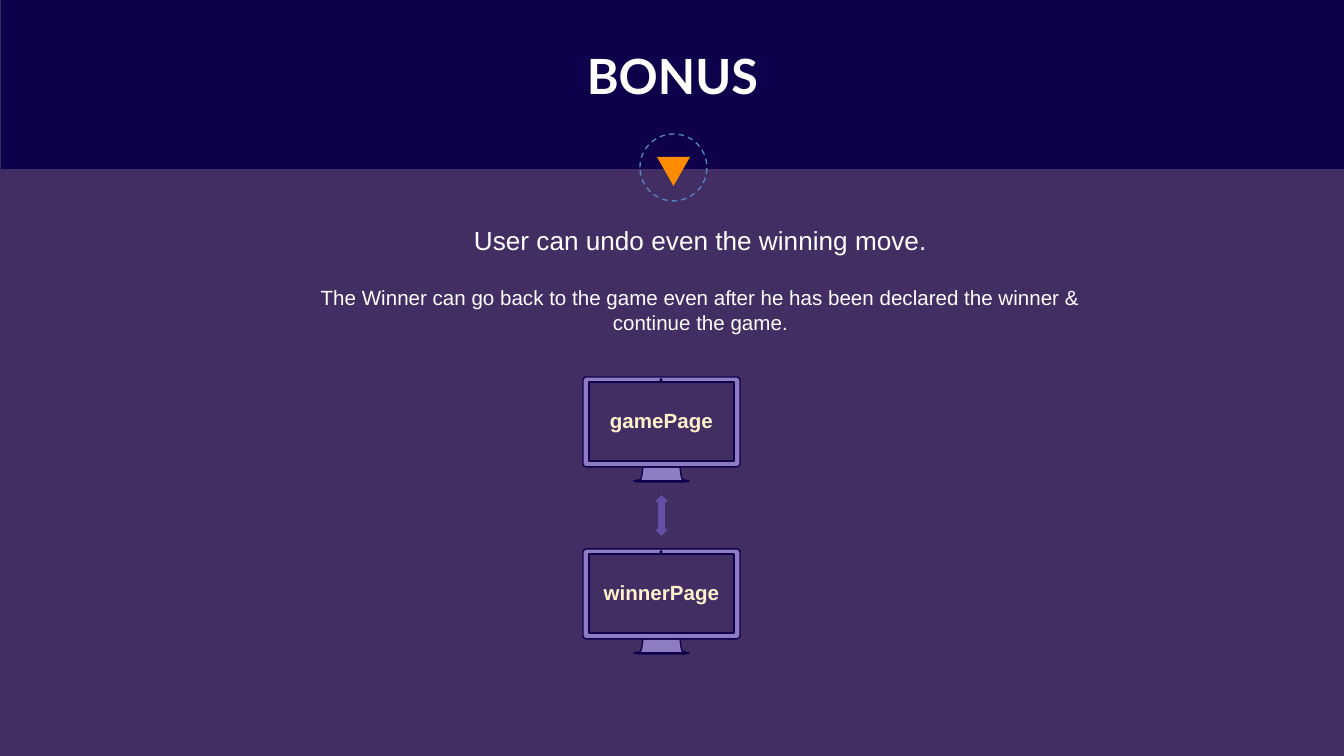
from pptx import Presentation
from pptx.dml.color import RGBColor
from pptx.enum.dml import MSO_LINE
from pptx.enum.shapes import MSO_SHAPE as Preset
from pptx.enum.text import MSO_ANCHOR as Anchor, PP_ALIGN as Align
from pptx.util import Emu, Pt

SCALE = 914400 / 134.4
WIDTH, HEIGHT = 1344, 756

PURPLE = RGBColor(0x43, 0x2E, 0x64)
NAVY = RGBColor(0x0E, 0x00, 0x4A)
BLUE = RGBColor(0x53, 0x82, 0xBC)
ORANGE = RGBColor(0xFB, 0x8C, 0x00)
LILAC = RGBColor(0x8E, 0x7C, 0xC3)
VIOLET = RGBColor(0x67, 0x4E, 0xA7)
CREAM = RGBColor(0xFF, 0xF2, 0xCC)
WHITE = RGBColor(0xFF, 0xFF, 0xFF)

# Monitor outlines in pixels, relative to the top left corner of its frame.
FRAME = [(3, 0), (154, 0), (156, 1), (157, 3), (157, 87), (156, 89),
         (154, 90), (3, 90), (1, 89), (0, 87), (0, 3), (1, 1)]
SCREEN = [(6, 5), (6, 84), (151, 84), (151, 5)]
CAMERA = [(78, 2), (77, 3), (78, 4), (79, 3)]
STAND = [(60, 90), (59, 98), (58, 102), (56, 103), (51, 104),
         (106, 104), (101, 103), (99, 102), (98, 98), (97, 90)]
BASE = [(51, 104), (55, 105), (102, 105), (106, 104)]
MONITOR = [FRAME, SCREEN, CAMERA, STAND, BASE]


def px(length):
    """Turn pixels into EMU."""
    return Emu(round(length * SCALE))


class SlideBuilder:
    """Holds the slide and the shared text style."""

    font = "Arial"
    inset = px(13)

    def __init__(self, slide, background):
        """Keep the slide and colour its background."""
        self.slide = slide
        slide.background.fill.solid()
        slide.background.fill.fore_color.rgb = background

    def paint(self, shape, fill=None, line=None, dash=None):
        """Set the fill and outline of a shape and drop its shadow."""
        shape.shadow.inherit = False
        if fill is None:
            shape.fill.background()
        else:
            shape.fill.solid()
            shape.fill.fore_color.rgb = fill
        if line is None:
            shape.line.fill.background()
        else:
            shape.line.color.rgb = line
            shape.line.width = Pt(0.75)
            shape.line.dash_style = dash
        return shape

    def preset(self, kind, box, **paint):
        """Add a preset shape."""
        shape = self.slide.shapes.add_shape(kind, *map(px, box))
        return self.paint(shape, **paint)

    def outline(self, contours, left, top, **paint):
        """Add one freeform made of several closed contours."""
        shapes = self.slide.shapes
        builder = shapes.build_freeform(*contours[0][0], scale=SCALE)
        builder.add_line_segments(contours[0][1:], close=True)
        for first, *others in contours[1:]:
            builder.move_to(*first)
            builder.add_line_segments(others, close=True)
        return self.paint(builder.convert_to_shape(px(left), px(top)), **paint)

    def text(self, box, lines, color, bold=False, font=None,
             anchor=Anchor.MIDDLE, gap=0):
        """Add centred text from (wording, size) lines, with a gap between."""
        frame = self.slide.shapes.add_textbox(*map(px, box)).text_frame
        frame.word_wrap = True
        frame.vertical_anchor = anchor
        frame.margin_left = frame.margin_right = self.inset
        frame.margin_top = frame.margin_bottom = self.inset
        frame.text = "\n".join(wording for wording, _ in lines)
        for index, paragraph in enumerate(frame.paragraphs):
            paragraph.alignment = Align.CENTER
            paragraph.space_before = Pt(gap if index else 0)
            style = paragraph.runs[0].font
            style.name = font or self.font
            style.size = Pt(lines[index][1])
            style.bold = bold
            style.color.rgb = color

    def monitor(self, left, top, label):
        """Add a labelled computer monitor."""
        self.outline(MONITOR, left, top, fill=LILAC, line=NAVY)
        self.text((left + 4, top + 10, 149, 67), [(label, 11)], CREAM, bold=True)


def main():
    """Build and save the slide."""
    presentation = Presentation()
    presentation.slide_width, presentation.slide_height = px(WIDTH), px(HEIGHT)
    slide = presentation.slides.add_slide(presentation.slide_layouts[6])
    builder = SlideBuilder(slide, PURPLE)

    builder.preset(Preset.RECTANGLE, (1, 0, WIDTH, 169), fill=NAVY)
    builder.preset(Preset.OVAL, (640, 134, 67, 67), line=BLUE, dash=MSO_LINE.DASH)
    marker = builder.preset(Preset.ISOSCELES_TRIANGLE, (657, 157, 33, 29),
                            fill=ORANGE)
    marker.rotation = 180
    builder.text((40, 15, 1265, 120), [("BONUS", 26)], WHITE, bold=True,
                 font="Lato")

    for row, label in enumerate(["gamePage", "winnerPage"]):
        builder.monitor(583, 377 + 172 * row, label)
    builder.preset(Preset.UP_DOWN_ARROW, (653, 494, 17, 43),
                   fill=VIOLET, line=PURPLE)

    builder.text((271, 211, 859, 101), [
        ("User can undo even the winning move.", 14),
        ("The Winner can go back to the game even after he has been "
         "declared the winner & continue the game.", 11),
    ], WHITE, anchor=Anchor.TOP, gap=16)

    presentation.save("out.pptx")


main()
